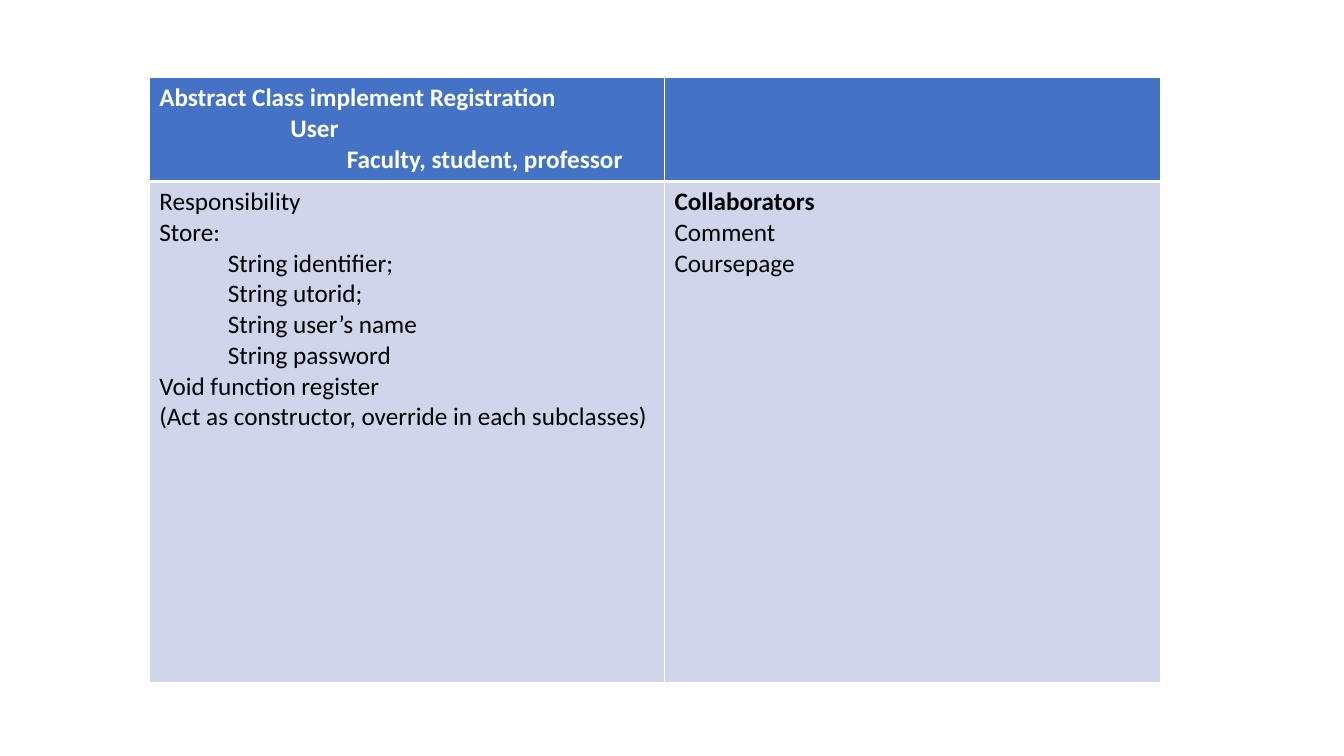
from lxml import etree
from pptx import Presentation
from pptx.dml.color import RGBColor
from pptx.oxml.ns import qn
from pptx.util import Inches, Pt

WHITE = RGBColor(0xFF, 0xFF, 0xFF)
BLACK = RGBColor(0x00, 0x00, 0x00)
HEADER_BLUE = RGBColor(0x44, 0x72, 0xC4)
BODY_BLUE = RGBColor(0xCF, 0xD5, 0xEA)

# Each line: text, left indent in inches, bold
HEADER_LINES = [
    ("Abstract Class implement Registration", 0, True),
    ("User", 1.3, True),
    ("Faculty, student, professor", 1.86, True),
]
RESPONSIBILITY_LINES = [
    ("Responsibility", 0, False),
    ("Store:", 0, False),
    ("String identifier;", 0.68, False),
    ("String utorid;", 0.68, False),
    ("String user’s name", 0.68, False),
    ("String password", 0.68, False),
    ("Void function register", 0, False),
    ("(Act as constructor, override in each subclasses)", 0, False),
]
COLLABORATOR_LINES = [
    ("Collaborators", 0, True),
    ("Comment", 0, False),
    ("Coursepage", 0, False),
]
CARD_ROWS = [
    (HEADER_BLUE, WHITE, [HEADER_LINES, []]),
    (BODY_BLUE, BLACK, [RESPONSIBILITY_LINES, COLLABORATOR_LINES]),
]
COLUMN_WIDTHS = [5.11, 4.92]
ROW_HEIGHTS = [1.03, 4.97]


def add_border(cell, side, width):
    properties = cell._tc.get_or_add_tcPr()
    line = etree.SubElement(properties, qn(f"a:{side}"), w=str(Pt(width)))
    fill = etree.SubElement(line, qn("a:solidFill"))
    etree.SubElement(fill, qn("a:srgbClr"), val=str(WHITE))


presentation = Presentation()
presentation.slide_width = Inches(13.33)
presentation.slide_height = Inches(7.5)
slide = presentation.slides.add_slide(presentation.slide_layouts[6])

# Class card table
table = slide.shapes.add_table(
    2, 2, Inches(1.48), Inches(0.77),
    Inches(sum(COLUMN_WIDTHS)), Inches(sum(ROW_HEIGHTS)),
).table
for column, width in zip(table.columns, COLUMN_WIDTHS):
    column.width = Inches(width)
for row, height in zip(table.rows, ROW_HEIGHTS):
    row.height = Inches(height)

for row_index, (fill_color, text_color, row_cells) in enumerate(CARD_ROWS):
    for column_index, lines in enumerate(row_cells):
        cell = table.cell(row_index, column_index)

        # White rules, thicker between header and body
        for side in ("lnL", "lnR", "lnT", "lnB"):
            between_rows = (row_index, side) in ((0, "lnB"), (1, "lnT"))
            add_border(cell, side, 3 if between_rows else 1)
        cell.fill.solid()
        cell.fill.fore_color.rgb = fill_color

        # Cell text
        text_frame = cell.text_frame
        for line_index, (text, indent, bold) in enumerate(lines):
            paragraph = text_frame.paragraphs[0] if line_index == 0 else text_frame.add_paragraph()
            paragraph.text = text
            paragraph.font.name = "Calibri"
            paragraph.font.size = Pt(18)
            paragraph.font.bold = bold
            paragraph.font.color.rgb = text_color
            paragraph._p.get_or_add_pPr().set("marL", str(Inches(indent)))

presentation.save("out.pptx")
